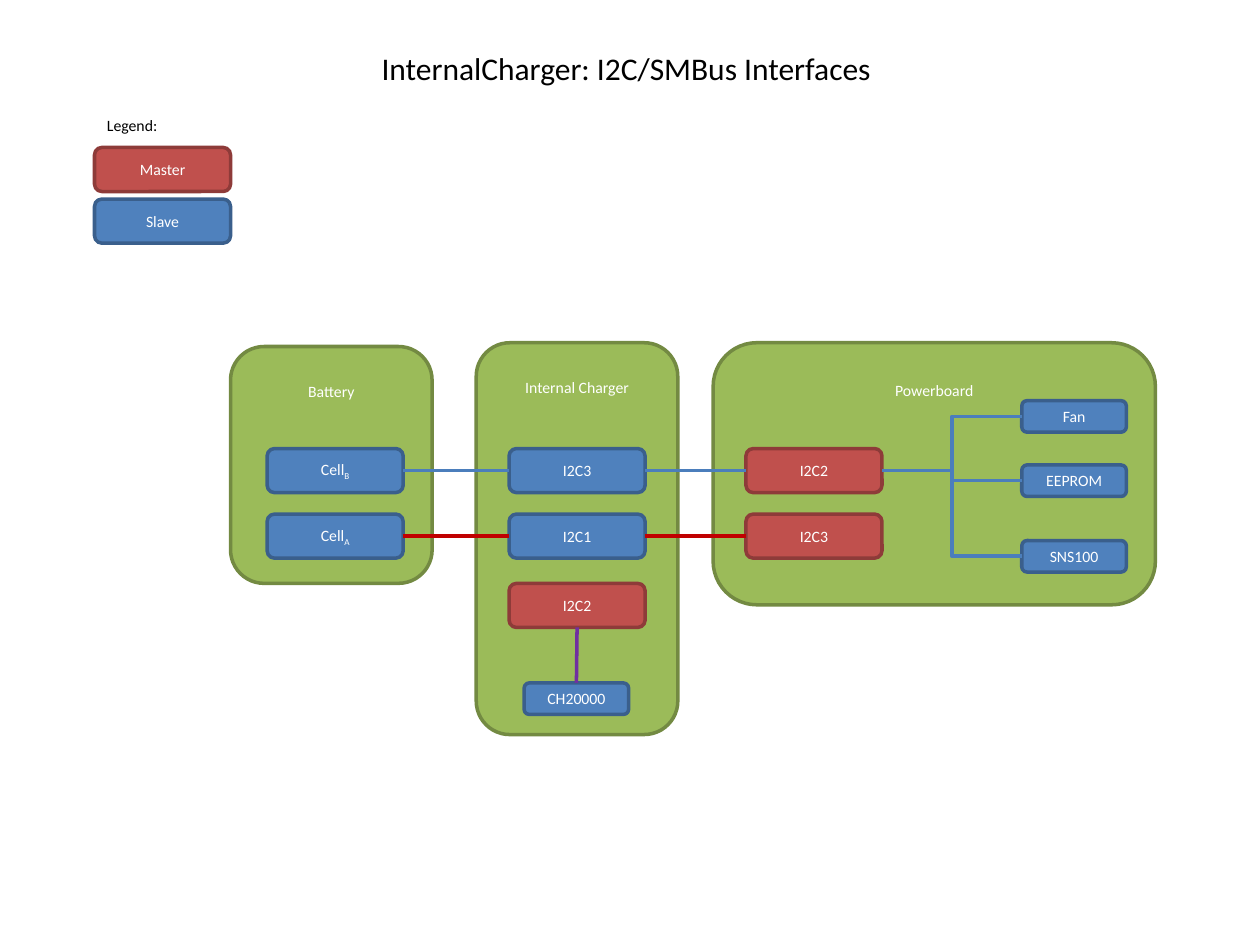
from pptx import Presentation
from pptx import util as u
from pptx.dml.color import RGBColor
from pptx.enum import shapes, text
from pptx.oxml.ns import qn
from lxml import etree

GREEN = ("9BBB59", "738A42")
RED = ("C0504D", "8E3B39")
BLUE = ("4F81BD", "3A5F8C")
BLUE_BUS, RED_BUS, PURPLE_BUS = "4B7EBC", "C00000", "7030A0"
TOP, LEFT, BOTTOM, RIGHT = range(4)  # connection sites of a rounded box
LARGE, SMALL = (1.08, 0.35), (0.83, 0.25)


def color(value):
    return RGBColor.from_string(value)


def write(frame, words, size=9, fill="FFFFFF", align=text.PP_ALIGN.CENTER, subscript=""):
    para = frame.paragraphs[0]
    para.alignment = align
    for part in filter(None, (words, subscript)):
        span = para.add_run()
        span.text = part
        span.font.name = "Calibri"
        span.font.size = u.Pt(size)
        span.font.color.rgb = color(fill)
    if subscript:
        span._r.get_or_add_rPr().set("baseline", "-25000")


def add_box(page, words, left, top, size, colors, subscript=""):
    box = page.shapes.add_shape(shapes.MSO_SHAPE.ROUNDED_RECTANGLE,
                                *map(u.Inches, (left, top, *size)))
    box.shadow.inherit = False
    box.fill.solid()
    box.fill.fore_color.rgb = color(colors[0])
    box.line.color.rgb = color(colors[1])
    box.line.width = u.Pt(2)
    box.text_frame.vertical_anchor = text.MSO_ANCHOR.MIDDLE
    write(box.text_frame, words, subscript=subscript)
    return box


def add_panel(page, words, left, top, size):
    frame = add_box(page, words, left, top, size, GREEN).text_frame
    frame.vertical_anchor = text.MSO_ANCHOR.TOP
    frame.margin_top = u.Inches(0.2)


def add_label(page, words, left, top, width, height, size):
    frame = page.shapes.add_textbox(*map(u.Inches, (left, top, width, height))).text_frame
    frame.word_wrap = False
    frame.auto_size = text.MSO_AUTO_SIZE.SHAPE_TO_FIT_TEXT
    write(frame, words, size=size, fill="000000", align=text.PP_ALIGN.LEFT)


def add_bus(page, start, end, line_color, sites=(RIGHT, LEFT), kind=shapes.MSO_CONNECTOR.STRAIGHT):
    bus = page.shapes.add_connector(kind, 0, 0, 0, 0)
    bus.begin_connect(start, sites[0])
    bus.end_connect(end, sites[1])
    bus.line.color.rgb = color(line_color)
    bus.line.width = u.Pt(2)
    etree.SubElement(bus._element.spPr, qn("a:effectLst"))


def main():
    deck = Presentation()
    deck.slide_width, deck.slide_height = u.Inches(10), u.Inches(7.5)
    page = deck.slides.add_slide(deck.slide_layouts[6])

    # Title and legend
    add_label(page, "InternalCharger: I2C/SMBus Interfaces", 2.93, 0.34, 4.13, 0.4, 18)
    add_label(page, "Legend:", 0.75, 0.87, 0.61, 0.25, 9)
    add_box(page, "Master", 0.75, 1.17, LARGE, RED)
    add_box(page, "Slave", 0.75, 1.58, LARGE, BLUE)

    # Boards
    add_panel(page, "Battery", 1.83, 2.75, (1.6, 1.88))
    add_panel(page, "Internal Charger", 3.78, 2.72, (1.6, 3.11))
    add_panel(page, "Powerboard", 5.66, 2.72, (3.51, 2.08))

    # Two rows of interfaces: battery cell, charger slave, powerboard master
    rows = [(3.56, "B", "I2C3", "I2C2", BLUE_BUS), (4.08, "A", "I2C1", "I2C3", RED_BUS)]
    masters = []
    for top, cell_name, charger_name, master_name, bus_color in rows:
        cell = add_box(page, "Cell", 2.12, top, LARGE, BLUE, subscript=cell_name)
        charger = add_box(page, charger_name, 4.04, top, LARGE, BLUE)
        master = add_box(page, master_name, 5.92, top, LARGE, RED)
        add_bus(page, cell, charger, bus_color)
        add_bus(page, charger, master, bus_color)
        masters.append(master)

    # Charger chip below its own master
    charger_master = add_box(page, "I2C2", 4.04, 4.63, LARGE, RED)
    chip = add_box(page, "CH20000", 4.16, 5.42, SMALL, BLUE)
    add_bus(page, charger_master, chip, PURPLE_BUS, sites=(BOTTOM, TOP))

    # Powerboard devices on the first master
    for name, top in (("Fan", 3.18), ("EEPROM", 3.69), ("SNS100", 4.29)):
        device = add_box(page, name, 8.11, top, SMALL, BLUE)
        add_bus(page, masters[0], device, BLUE_BUS, kind=shapes.MSO_CONNECTOR.ELBOW)

    deck.save("out.pptx")


if __name__ == "__main__":
    main()
